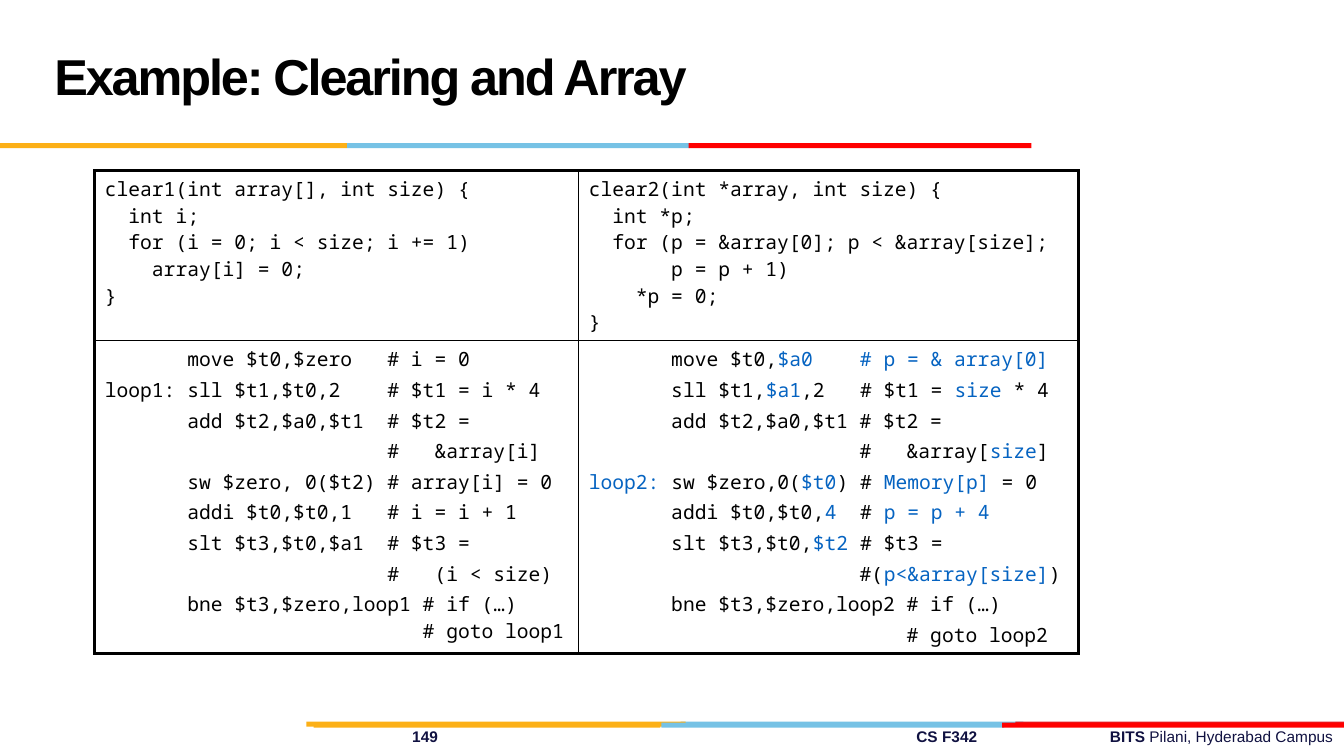
from dataclasses import dataclass

from lxml import etree
from pptx import Presentation
from pptx.dml.color import RGBColor
from pptx.enum.shapes import MSO_SHAPE
from pptx.enum.text import MSO_ANCHOR
from pptx.oxml.ns import qn
from pptx.util import Inches, Pt

RECTANGLE = MSO_SHAPE.RECTANGLE
TOP, MIDDLE = MSO_ANCHOR.TOP, MSO_ANCHOR.MIDDLE


@dataclass(frozen=True)
class Theme:
    """Colours, fonts and type sizes of the slide."""
    black: str = "000000"
    white: str = "FFFFFF"
    navy: str = "101141"
    changed: str = "0563C1"
    gold: str = "FCB017"
    sky: str = "76C2E5"
    crimson: str = "E31C24"
    red: str = "FF0000"
    heading_font: str = "Arial"
    code_font: str = "Noto Sans Mono"
    title_size: float = 36
    code_size: float = 14
    footer_size: float = 11
    outer_line: float = 2.25
    inner_line: float = 1


class CodeSlide:
    """Draws the elements of one slide in one theme."""

    def __init__(self, slide, theme):
        self.shapes = slide.shapes
        self.theme = theme

    def style(self, run, font, size, color, bold=False):
        """Format one run."""
        run.font.name = font
        run.font.size = Pt(size)
        run.font.bold = bold
        run.font.color.rgb = RGBColor.from_string(color)

    def text_box(self, left, top, width, height, anchor):
        """Add an empty wrapping box and return its text frame."""
        frame = self.shapes.add_textbox(*map(Inches, (left, top, width, height))).text_frame
        frame.word_wrap = True
        frame.vertical_anchor = anchor
        return frame

    def title(self, text):
        """Add the tightly spaced heading."""
        frame = self.text_box(0.44, 0.17, 9.22, 1.25, MIDDLE)
        frame.text = text
        heading = frame.paragraphs[0]
        heading.line_spacing = Pt(self.theme.title_size)
        for run in heading.runs:
            self.style(run, self.theme.heading_font, self.theme.title_size, self.theme.black, True)
            run.font._element.set("spc", "-150")

    def stripe(self, top, bands):
        """Add a thin stripe made of (left, width, colour) bands."""
        for left, width, color in bands:
            band = self.shapes.add_shape(RECTANGLE, *map(Inches, (left, top, width, 0.05)))
            band.shadow.inherit = False
            band.fill.solid()
            band.fill.fore_color.rgb = RGBColor.from_string(color)
            band.line.fill.background()

    def footer(self, bold_part, plain_part, tab_stops):
        """Add the footer line, laid out with tab stops in inches."""
        frame = self.text_box(0.22, 7.16, 13.11, 0.29, TOP)
        frame.margin_right = 0
        line = frame.paragraphs[0]
        tabs = etree.SubElement(line._p.get_or_add_pPr(), qn("a:tabLst"))
        for stop in tab_stops:
            etree.SubElement(tabs, qn("a:tab"), pos=str(Inches(stop)), algn="l")
        for part, bold in ((bold_part, True), (plain_part, False)):
            run = line.add_run()
            run.text = part
            self.style(run, self.theme.heading_font, self.theme.footer_size, self.theme.navy, bold)

    def code(self, frame, listing, space_before):
        """Write code lines; text between tildes is in the changed colour."""
        theme = self.theme
        for number, code_line in enumerate(listing):
            paragraph = frame.add_paragraph() if number else frame.paragraphs[0]
            if number:
                paragraph.space_before = Pt(space_before)
            if "~" not in code_line:
                paragraph.text = code_line
                for run in paragraph.runs:
                    self.style(run, theme.code_font, theme.code_size, theme.black)
                continue
            for index, part in enumerate(code_line.split("~")):
                if part:
                    run = paragraph.add_run()
                    run.text = part
                    color = theme.changed if index % 2 else theme.black
                    self.style(run, theme.code_font, theme.code_size, color)

    def borders(self, cell, outer_sides):
        """Rule a cell, heavier on its outer sides."""
        properties = cell._tc.get_or_add_tcPr()
        for index, side in enumerate("LRTB"):
            weight = self.theme.outer_line if side in outer_sides else self.theme.inner_line
            rule = etree.Element(qn(f"a:ln{side}"), w=str(Pt(weight)))
            fill = etree.SubElement(rule, qn("a:solidFill"))
            etree.SubElement(fill, qn("a:srgbClr"), val=self.theme.black)
            properties.insert(index, rule)

    def comparison(self, listings, widths, heights, spacings):
        """Add the table of code listings."""
        table = self.shapes.add_table(
            len(heights), len(widths), Inches(0.94), Inches(1.69),
            Inches(sum(widths)), Inches(sum(heights))).table
        table.first_row = table.horz_banding = False
        for column, width in zip(table.columns, widths):
            column.width = Inches(width)
        for r, row_listings in enumerate(listings):
            table.rows[r].height = Inches(heights[r])
            for c, listing in enumerate(row_listings):
                cell = table.cell(r, c)
                cell.fill.solid()
                cell.fill.fore_color.rgb = RGBColor.from_string(self.theme.white)
                self.code(cell.text_frame, listing, spacings[r])
                self.borders(cell, "LR"[c] + "TB"[r])


C_INDEX = [
    "clear1(int array[], int size) {",
    "  int i;",
    "  for (i = 0; i < size; i += 1)",
    "    array[i] = 0;",
    "}",
]
C_POINTER = [
    "clear2(int *array, int size) {",
    "  int *p;",
    "  for (p = &array[0]; p < &array[size];",
    "       p = p + 1)",
    "    *p = 0;",
    "}",
]
MIPS_INDEX = [
    "       move $t0,$zero   # i = 0",
    "loop1: sll $t1,$t0,2    # $t1 = i * 4",
    "       add $t2,$a0,$t1  # $t2 =",
    "                        #   &array[i]",
    "       sw $zero, 0($t2) # array[i] = 0",
    "       addi $t0,$t0,1   # i = i + 1",
    "       slt $t3,$t0,$a1  # $t3 =",
    "                        #   (i < size)",
    "       bne $t3,$zero,loop1 # if (…)\v                           # goto loop1",
]
MIPS_POINTER = [
    "       move $t0,~$a0    # p = & array[0]~",
    "       sll $t1,~$a1~,2   # $t1 = ~size~ * 4",
    "       add $t2,$a0,$t1 # $t2 =",
    "                       #   &array[~size~]",
    "~loop2:~ sw $zero,0(~$t0~) # ~Memory[p]~ = 0",
    "       addi $t0,$t0,~4~  # ~p = p + 4~",
    "       slt $t3,$t0,~$t2~ # $t3 =",
    "                       #(~p<&array[size]~)",
    "       bne $t3,$zero,loop2 # if (…)",
    "                           # goto loop2",
]


def main():
    """Build and save the slide."""
    deck = Presentation()
    deck.slide_width, deck.slide_height = Inches(13.33), Inches(7.5)
    theme = Theme()
    page = CodeSlide(deck.slides.add_slide(deck.slide_layouts[6]), theme)
    page.footer("\t149\tCS F342\tBITS ", "Pilani, Hyderabad Campus", (3.77, 8.77, 10.69))
    page.stripe(7.16, [(6.75, 3.4, theme.sky), (10.07, 3.26, theme.crimson),
                       (3.04, 3.76, theme.gold)])
    page.stripe(7.17, [(6.56, 3.4, theme.sky), (3.11, 3.44, theme.gold),
                       (9.94, 3.39, theme.red)])
    page.stripe(1.42, [(3.44, 3.4, theme.sky), (0, 3.44, theme.gold),
                       (6.83, 3.4, theme.red)])
    page.title("Example: Clearing and Array")
    page.comparison([[C_INDEX, C_POINTER], [MIPS_INDEX, MIPS_POINTER]],
                    widths=(4.8, 4.96), heights=(1.69, 3.1), spacings=(0, 2.8))
    deck.save("out.pptx")


if __name__ == "__main__":
    main()
